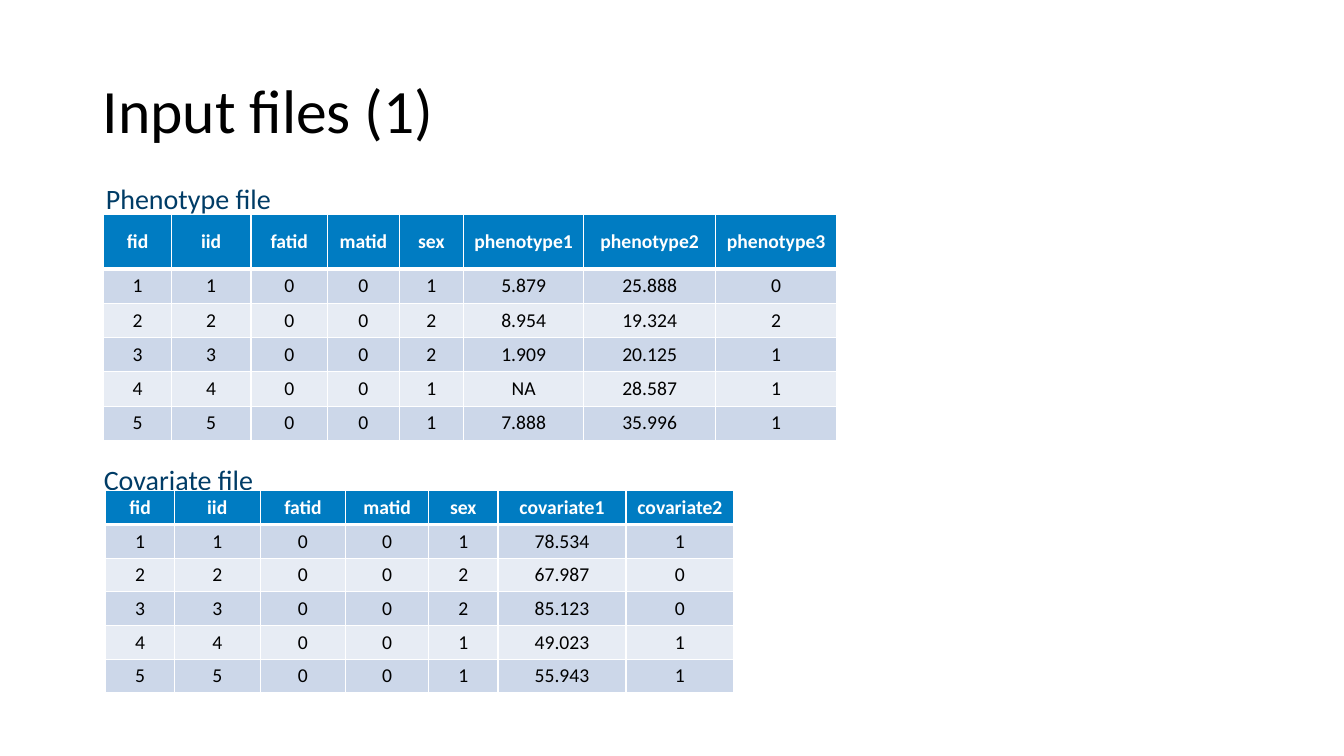
"""Build the slide on phenotype and covariate input files."""
from lxml import etree
from pptx import Presentation
from pptx.dml.color import RGBColor
from pptx.enum.text import MSO_ANCHOR, PP_ALIGN
from pptx.oxml.ns import qn
from pptx.util import Inches, Pt

MIDDLE, TOP = MSO_ANCHOR.MIDDLE, MSO_ANCHOR.TOP
CENTER = PP_ALIGN.CENTER
BLACK = RGBColor(0x00, 0x00, 0x00)
WHITE = RGBColor(0xFF, 0xFF, 0xFF)
NAVY = RGBColor(0x00, 0x3C, 0x66)
BLUE = RGBColor(0x00, 0x7C, 0xC2)
DARK = RGBColor(0xCC, 0xD7, 0xE9)
LIGHT = RGBColor(0xE7, 0xEC, 0xF4)
FONT = "Calibri"


def write(frame, text, size, color, bold=False):
    par = frame.paragraphs[0]
    run = par.add_run()
    run.text = text
    run.font.name = FONT
    run.font.size = Pt(size)
    run.font.bold = bold
    run.font.color.rgb = color
    return par


def border(cell, side, width):
    line = etree.Element(qn(f"a:ln{side}"), w=str(Pt(width)))
    fill = etree.SubElement(line, qn("a:solidFill"))
    etree.SubElement(fill, qn("a:srgbClr"), val=str(WHITE))
    return line


deck = Presentation()
deck.slide_width, deck.slide_height = Inches(13.33), Inches(7.5)
slide = deck.slides.add_slide(deck.slide_layouts[6])

TEXTS = [
    ("Input files (1)", (0.92, 0.4, 11.5, 1.45), 44, BLACK, 0.9, MIDDLE, (0.1, 0.05)),
    ("Phenotype file", (1.05, 1.73, 7.26, 0.47), 20, NAVY, 1.2, TOP, (0, 0)),
    ("Covariate file", (1.03, 4.52, 6.26, 0.47), 20, NAVY, 1.2, TOP, (0, 0)),
]
for text, place, size, color, space, anchor, (across, down) in TEXTS:
    frame = slide.shapes.add_textbox(*map(Inches, place)).text_frame
    frame.word_wrap = True
    frame.vertical_anchor = anchor
    frame.margin_left = frame.margin_right = Inches(across)
    frame.margin_top = frame.margin_bottom = Inches(down)
    write(frame, text, size, color).line_spacing = space

KEYS = ["fid", "iid", "fatid", "matid", "sex"]
SEXES = ["1", "2", "2", "1", "1"]
PEOPLE = [[str(n), str(n), "0", "0", sex] for n, sex in enumerate(SEXES, 1)]

PHENO = [
    ["phenotype1", "phenotype2", "phenotype3"],
    ["5.879", "25.888", "0"],
    ["8.954", "19.324", "2"],
    ["1.909", "20.125", "1"],
    ["NA", "28.587", "1"],
    ["7.888", "35.996", "1"],
]
COVAR = [
    ["covariate1", "covariate2"],
    ["78.534", "1"],
    ["67.987", "0"],
    ["85.123", "0"],
    ["49.023", "1"],
    ["55.943", "1"],
]
TABLES = [
    (1.03, 2.13, [0.67, 0.79, 0.76, 0.71, 0.64, 1.19, 1.31, 1.2], 0.54, 0.34, PHENO),
    (1.05, 4.87, [0.68, 0.85, 0.85, 0.82, 0.69, 1.27, 1.07], 0.33, 0.33, COVAR),
]
for left, top, widths, head, body, extra in TABLES:
    rows = [start + end for start, end in zip([KEYS] + PEOPLE, extra)]
    heights = [head] + [body] * len(PEOPLE)
    size = (sum(widths), sum(heights))
    table = slide.shapes.add_table(
        len(rows), len(widths), *map(Inches, (left, top, *size))).table
    for col, width in zip(table.columns, widths):
        col.width = Inches(width)
    for r, row in enumerate(rows):
        table.rows[r].height = Inches(heights[r])
        first = r == 0
        band = BLUE if first else DARK if r % 2 else LIGHT
        edges = {"L": 1, "R": 1, "T": 3 if r == 1 else 1, "B": 3 if first else 1}
        for c, text in enumerate(row):
            cell = table.cell(r, c)
            cell.vertical_anchor = MIDDLE
            cell.fill.solid()
            cell.fill.fore_color.rgb = band
            ink = WHITE if first else BLACK
            write(cell.text_frame, text, 14, ink, first).alignment = CENTER
            props = cell._tc.get_or_add_tcPr()
            for spot, (side, width) in enumerate(edges.items()):
                props.insert(spot, border(cell, side, width))

deck.save("out.pptx")
